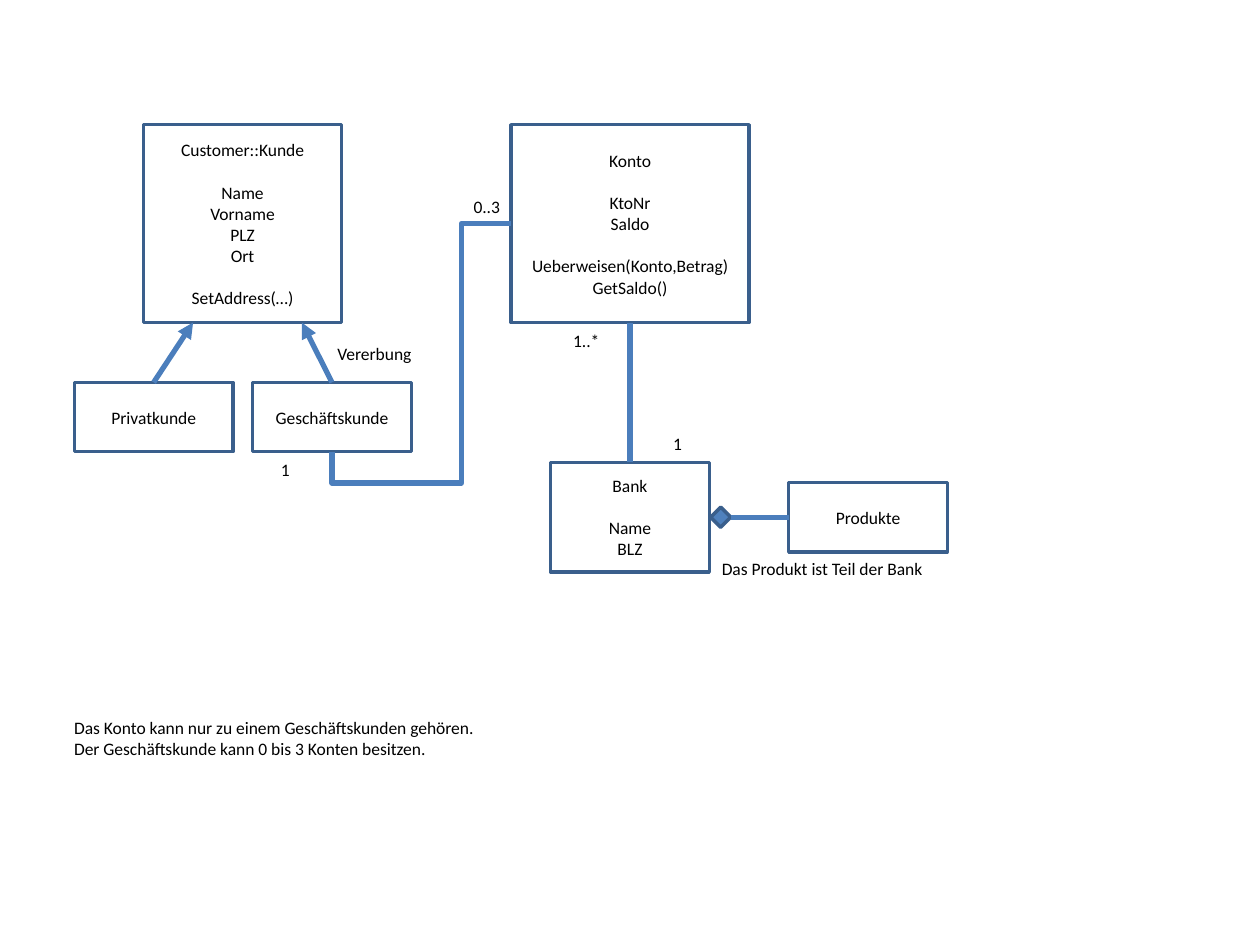
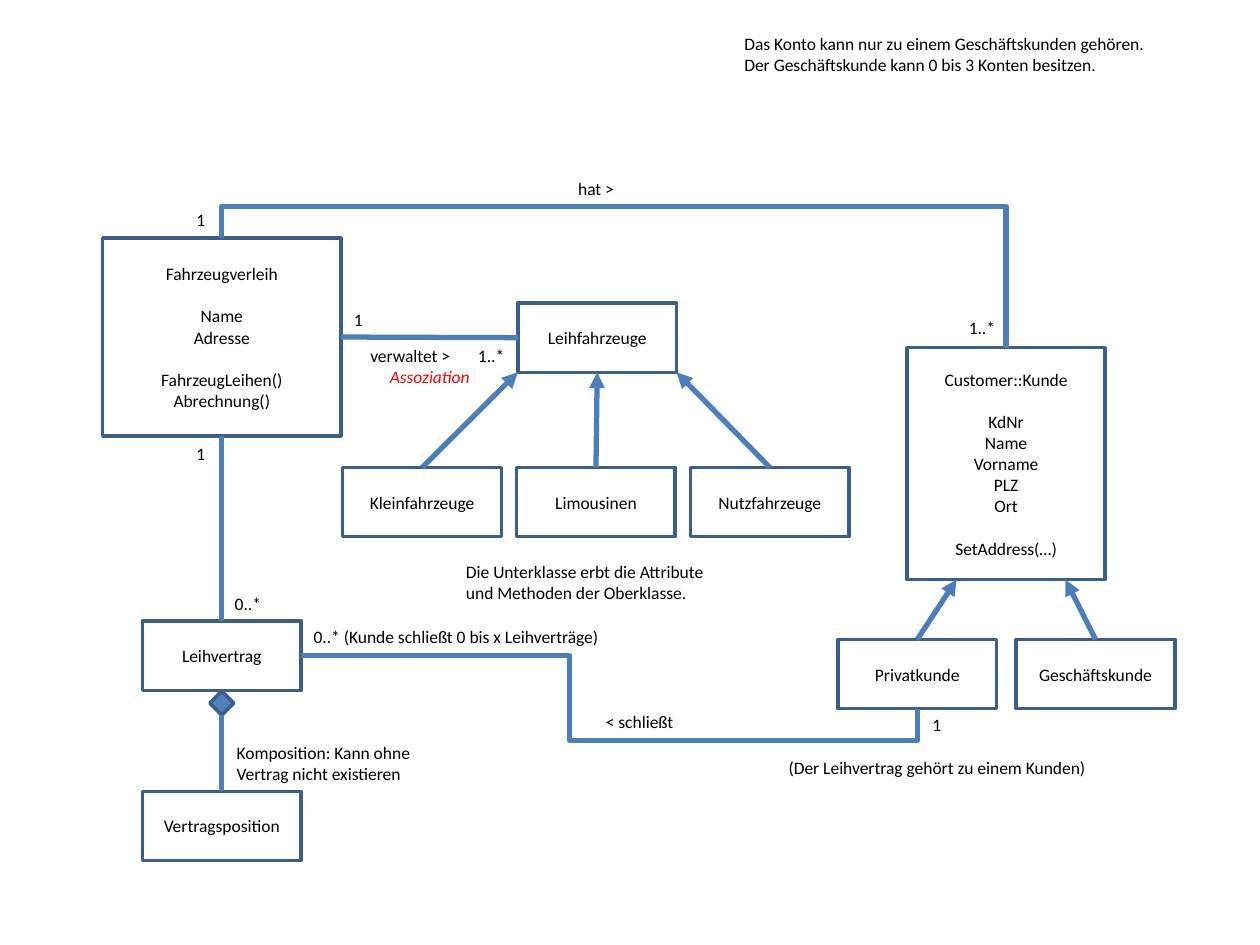
from dataclasses import dataclass

from lxml.etree import SubElement
from pptx import Presentation
from pptx.dml.color import RGBColor
from pptx.enum.shapes import MSO_CONNECTOR, MSO_SHAPE
from pptx.enum.text import MSO_ANCHOR, MSO_AUTO_SIZE, PP_ALIGN
from pptx.oxml.ns import qn
from pptx.shapes.connector import Connector
from pptx.slide import Slide
from pptx.text.text import TextFrame
from pptx.util import Inches, Pt

# Shared look
COLORS = {
    "text": "000000",
    "accent_text": "FF0000",
    "box": "FFFFFF",
    "outline": "3A5F8C",
    "diamond": "4F81BD",
    "connector": "4B7EBC",
}
FONT = "Calibri"
FONT_SIZE = Pt(10)
SECTION_GAP = Pt(12.2)  # one line of text

# Grid of 100 columns by 75 rows
WIDTH, HEIGHT = Inches(10), Inches(7.5)
COLUMN, ROW = WIDTH / 100, HEIGHT / 75
CLASS_WIDTH, CLASS_HEIGHT = 12.6, 5.5
CUSTOMER_WIDTH, LARGE_WIDTH, LARGE_HEIGHT = 15.7, 18.9, 15.7
DETOUR = 2.5  # distance a bent line keeps from its box

Point = tuple[float, float]
LEFT, CENTER, RIGHT = PP_ALIGN.LEFT, PP_ALIGN.CENTER, PP_ALIGN.RIGHT


@dataclass(frozen=True)
class Box:
    """A class box; its sections are separated by a gap of one line."""
    left: float
    top: float
    sections: tuple[str, ...] = ()
    width: float = CLASS_WIDTH
    height: float = CLASS_HEIGHT

    def at(self, across: float, down: float) -> Point:
        return self.left + across * self.width, self.top + down * self.height


@dataclass(frozen=True)
class Label:
    text: str
    left: float
    top: float
    width: float = 10.2
    align: PP_ALIGN = LEFT


def color(name: str) -> RGBColor:
    return RGBColor.from_string(COLORS[name])


def place(left: float, top: float, width: float, height: float) -> tuple[int, ...]:
    return (round(left * COLUMN), round(top * ROW),
            round(width * COLUMN), round(height * ROW))


def write(text_frame: TextFrame, sections: tuple[str, ...], align: PP_ALIGN) -> None:
    text_frame.word_wrap = True
    text_frame.text = "\n".join(sections)
    section_starts = set()
    line_count = 0
    for section in sections:
        section_starts.add(line_count)
        line_count += len(section.split("\n"))
    for index, paragraph in enumerate(text_frame.paragraphs):
        paragraph.alignment = align
        if index and index in section_starts:
            paragraph.space_before = SECTION_GAP
        for run in paragraph.runs:
            run.font.name = FONT
            run.font.size = FONT_SIZE
            run.font.color.rgb = color("text")


def draw_shape(slide: Slide, box: Box, kind: MSO_SHAPE = MSO_SHAPE.RECTANGLE,
               fill: str = "box") -> Box:
    shape = slide.shapes.add_shape(
        kind, *place(box.left, box.top, box.width, box.height))
    shape.shadow.inherit = False
    shape.fill.solid()
    shape.fill.fore_color.rgb = color(fill)
    shape.line.color.rgb = color("outline")
    shape.line.width = Pt(2)
    if box.sections:
        shape.text_frame.vertical_anchor = MSO_ANCHOR.MIDDLE
        write(shape.text_frame, box.sections, CENTER)
    return box


def draw_diamond(slide: Slide, left: float, top: float, size: float) -> Box:
    return draw_shape(slide, Box(left, top, width=size, height=size),
                      MSO_SHAPE.DIAMOND, "diamond")


def draw_label(slide: Slide, label: Label) -> TextFrame:
    sections = tuple(label.text.split("\n\n"))
    lines = label.text.count("\n") + 1
    shape = slide.shapes.add_textbox(
        *place(label.left, label.top, label.width, 1 + 1.7 * lines))
    write(shape.text_frame, sections, label.align)
    shape.text_frame.auto_size = MSO_AUTO_SIZE.SHAPE_TO_FIT_TEXT
    return shape.text_frame


def add_line(slide: Slide, kind: MSO_CONNECTOR, start: Point, end: Point) -> Connector:
    connector = slide.shapes.add_connector(kind, *place(*start, *end))
    connector.line.color.rgb = color("connector")
    connector.line.width = Pt(3)
    SubElement(connector._element.spPr, qn("a:effectLst"))
    return connector


def draw_line(slide: Slide, start: Point, end: Point, arrow: bool = False) -> None:
    connector = add_line(slide, MSO_CONNECTOR.STRAIGHT, start, end)
    if arrow:
        SubElement(connector.line._get_or_add_ln(), qn("a:tailEnd"), type="triangle")


def draw_bent_line(slide: Slide, start: Point, end: Point, bend_row: float,
                   bend_column: float | None = None) -> None:
    """Leave start vertically, turn at bend_row and, if given, at bend_column."""
    middle_x, middle_y = (start[0] + end[0]) / 2, (start[1] + end[1]) / 2

    def turned_back(point: Point) -> Point:
        return middle_x + point[1] - middle_y, middle_y - point[0] + middle_x

    connector = add_line(slide, MSO_CONNECTOR.ELBOW, turned_back(start), turned_back(end))
    properties = connector._element.spPr
    properties.find(qn("a:xfrm")).set("rot", str(90 * 60000))
    shares = [(bend_row - start[1]) / (end[1] - start[1])]
    if bend_column is not None:
        shares.append((bend_column - start[0]) / (end[0] - start[0]))
    geometry = properties.find(qn("a:prstGeom"))
    geometry.set("prst", f"bentConnector{len(shares) + 2}")
    for number, share in enumerate(shares, 1):
        SubElement(geometry.find(qn("a:avLst")), qn("a:gd"),
                   name=f"adj{number}", fmla=f"val {round(share * 100000)}")


def draw_customers(slide: Slide, left: float, top: float, height: float,
                   attributes: str) -> tuple[Box, Box, Box]:
    """The customer class with its two subclasses."""
    customer = draw_shape(slide, Box(
        left, top, ("Customer::Kunde", attributes, "SetAddress(…)"),
        CUSTOMER_WIDTH, height))
    subclass_top = top + height + 4.75
    private = draw_shape(slide, Box(left - 5.5, subclass_top, ("Privatkunde",)))
    business = draw_shape(slide, Box(left + 8.65, subclass_top, ("Geschäftskunde",)))
    for subclass, share in ((private, 0.25), (business, 0.8)):
        draw_line(slide, subclass.at(0.5, 0), customer.at(share, 1), arrow=True)
    return customer, private, business


def draw_account_note(slide: Slide, left: float, top: float) -> None:
    draw_label(slide, Label(
        "Das Konto kann nur zu einem Geschäftskunden gehören.\n"
        "Der Geschäftskunde kann 0 bis 3 Konten besitzen.", left, top, 39.6))


def build_bank_slide(slide: Slide) -> None:
    # Classes
    _, _, business = draw_customers(slide, 11.4, 9.9, 15.7, "Name\nVorname\nPLZ\nOrt")
    account = draw_shape(slide, Box(
        40.55, 9.9, ("Konto", "KtoNr\nSaldo", "Ueberweisen(Konto,Betrag)\nGetSaldo()"),
        LARGE_WIDTH, LARGE_HEIGHT))
    bank = draw_shape(slide, Box(43.7, 36.7, ("Bank", "Name\nBLZ"), height=8.7))
    products = draw_shape(slide, Box(62.6, 38.3, ("Produkte",)))

    # Relations
    draw_line(slide, bank.at(0.5, 0), account.at(0.5, 1))
    draw_bent_line(slide, business.at(0.5, 1), account.at(0, 0.5),
                   business.at(0, 1)[1] + DETOUR, 36.6)
    diamond = draw_diamond(slide, 56.4, 40.25, 1.6)
    draw_line(slide, diamond.at(1, 0.5), products.at(0, 0.5))

    # Labels
    for label in (
        Label("Vererbung", 25.8, 26.7),
        Label("1..*", 44.5, 25.7),
        Label("1", 44.9, 33.9, align=RIGHT),
        Label("1", 21.3, 35.9),
        Label("0..3", 36.6, 15.1),
        Label("Das Produkt ist Teil der Bank", 56.3, 43.8, 18.1),
    ):
        draw_label(slide, label)
    draw_account_note(slide, 4.9, 56.4)


def build_rental_slide(slide: Slide) -> None:
    # Classes
    customer, private, _ = draw_customers(
        slide, 72, 27.6, 18.4, "KdNr\nName\nVorname\nPLZ\nOrt")
    rental = draw_shape(slide, Box(
        8.15, 18.9, ("Fahrzeugverleih", "Name\nAdresse", "FahrzeugLeihen()\nAbrechnung()"),
        LARGE_WIDTH, LARGE_HEIGHT))
    vehicles = draw_shape(slide, Box(41.1, 24.05, ("Leihfahrzeuge",)))
    contract = draw_shape(slide, Box(11.3, 49.3, ("Leihvertrag",)))
    position = draw_shape(slide, Box(11.3, 62.8, ("Vertragsposition",)))

    # Vehicle subclasses
    for index, name in enumerate(("Kleinfahrzeuge", "Limousinen", "Nutzfahrzeuge")):
        subclass = draw_shape(slide, Box(27.2 + 13.8 * index, 37.1, (name,)))
        draw_line(slide, subclass.at(0.5, 0), vehicles.at(index / 2, 1), arrow=True)

    # Relations
    draw_bent_line(slide, customer.at(0.5, 0), rental.at(0.5, 0), rental.top - DETOUR)
    draw_line(slide, rental.at(1, 0.5), vehicles.at(0, 0.5))
    draw_line(slide, rental.at(0.5, 1), contract.at(0.5, 0))
    draw_bent_line(slide, private.at(0.5, 1), contract.at(1, 0.5),
                   private.at(0, 1)[1] + DETOUR, 45.2)
    diamond = draw_diamond(slide, 16.65, 54.85, 1.9)
    draw_line(slide, diamond.at(0.5, 1), position.at(0.5, 0))

    # Labels
    for label in (
        Label("hat >", 42.2, 13.6, align=CENTER),
        Label("1", 14.6, 16.1),
        Label("1..*", 75.9, 24.7),
        Label("1", 27.1, 24),
        Label("verwaltet >", 28.4, 26.9),
        Label("1", 14.6, 34.7, 5.1),
        Label("0..*", 14.6, 46.6, 7.1, RIGHT),
        Label("0..* (Kunde schließt 0 bis x Leihverträge)", 23.9, 49.2, 26.9),
        Label("< schließt", 47.1, 55.9),
        Label("1\n\n(Der Leihvertrag gehört zu einem Kunden)", 60.4, 56.2, 27.9, CENTER),
        Label("Die Unterklasse erbt die Attribute und Methoden der Oberklasse.",
              36, 44, 22.7),
        Label("Komposition: Kann ohne Vertrag nicht existieren", 17.8, 58.4, 19.5),
    ):
        draw_label(slide, label)
    draw_account_note(slide, 58.1, 2.1)

    # Multiplicity with the kind of relation below it
    association = draw_label(slide, Label("1..*\nAssoziation", 27.2, 26.9, 13.8, RIGHT))
    kind = association.paragraphs[1]
    kind.alignment = CENTER
    for run in kind.runs:
        run.font.italic = True
        run.font.color.rgb = color("accent_text")


presentation = Presentation()
presentation.slide_width, presentation.slide_height = WIDTH, HEIGHT
blank_layout = presentation.slide_layouts[6]
for build in (build_bank_slide, build_rental_slide):
    build(presentation.slides.add_slide(blank_layout))
presentation.save("out.pptx")
